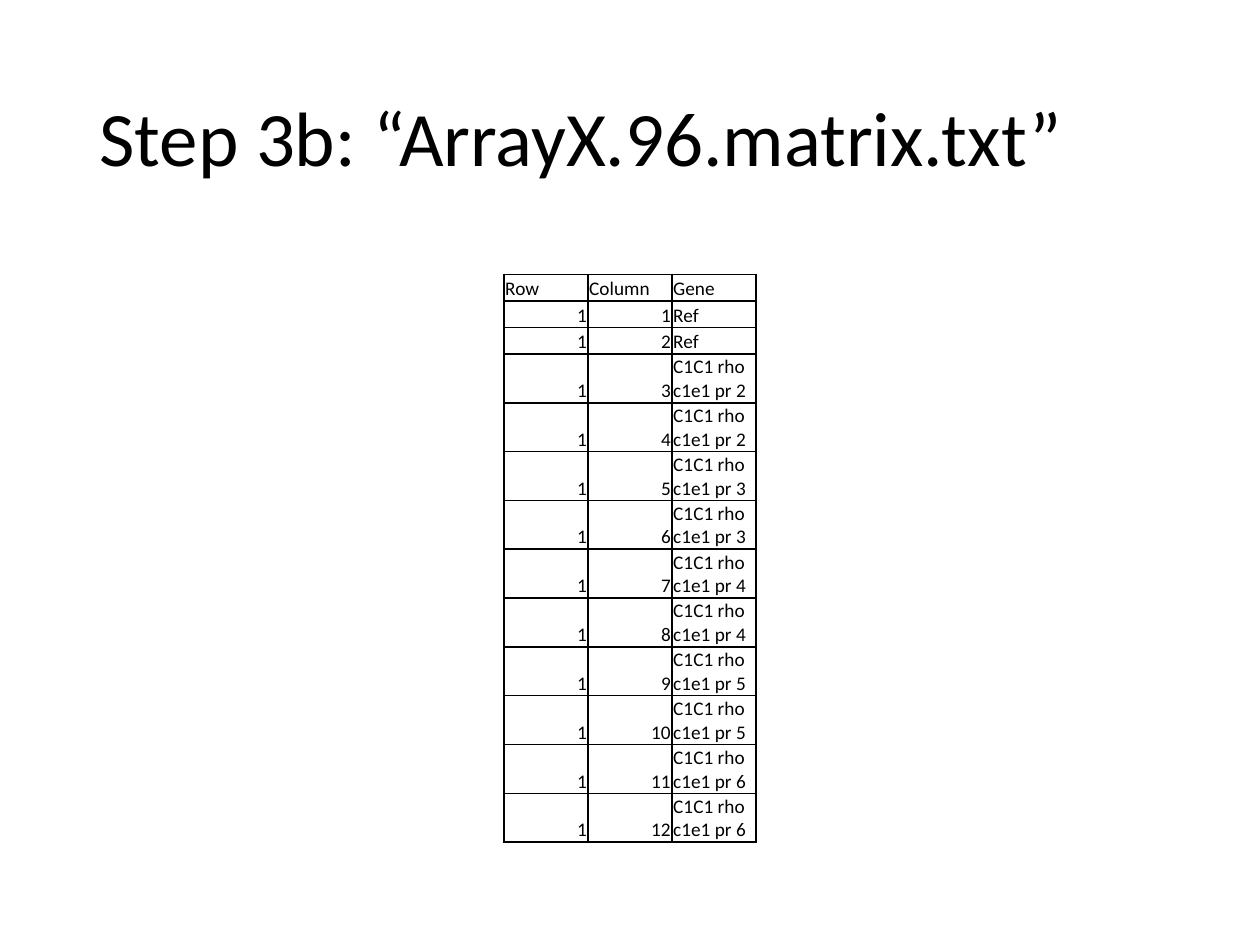
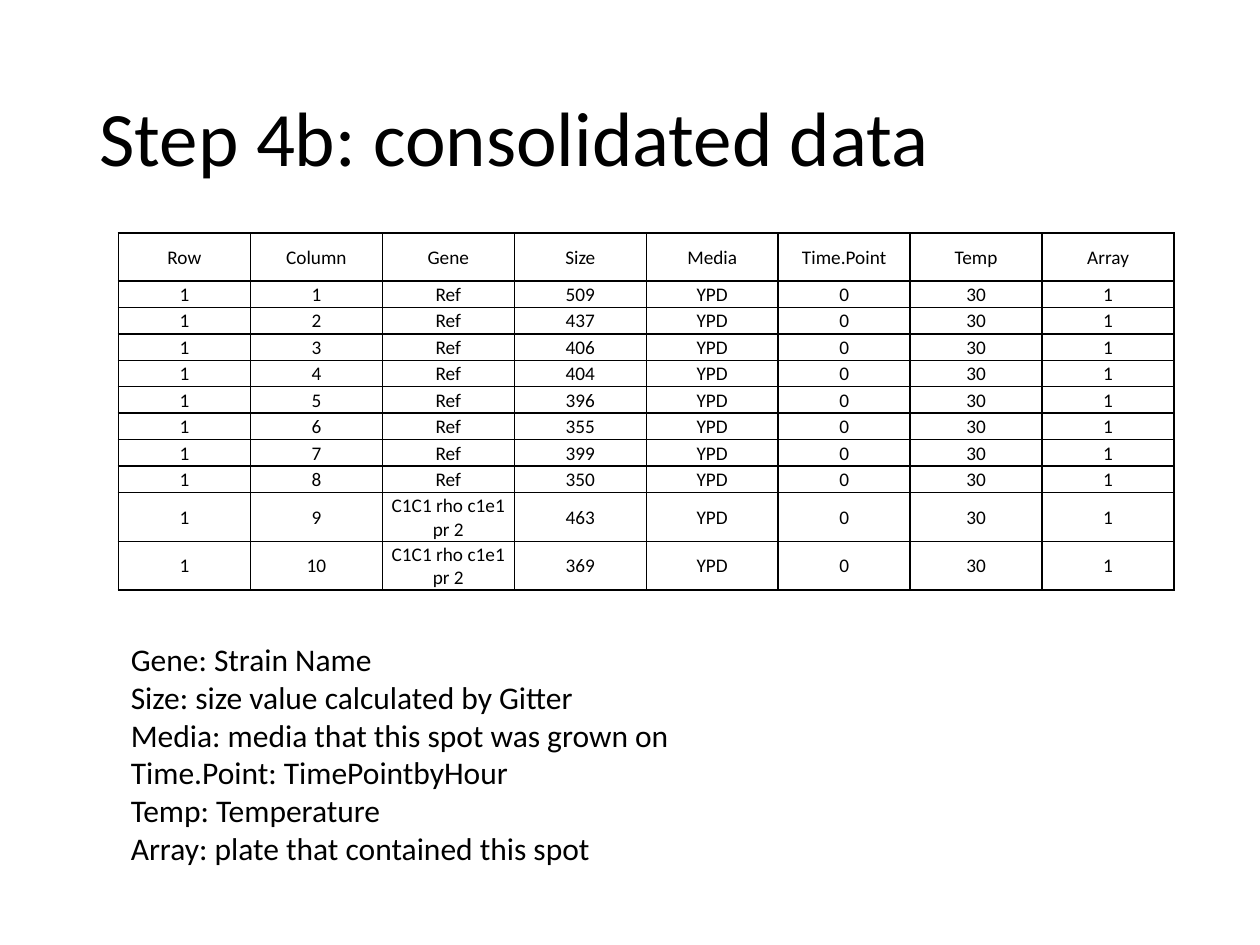
"""Build two slides that show a strain matrix and the consolidated data."""
import pptx
import pptx.dml.color
import pptx.enum.text
import pptx.oxml
import pptx.oxml.ns
import pptx.util

Inches, Pt = pptx.util.Inches, pptx.util.Pt
ALIGN, ANCHOR = pptx.enum.text.PP_ALIGN, pptx.enum.text.MSO_ANCHOR

WIDTH, HEIGHT = Inches(10), Inches(7.5)
COLORS = {"text": "000000", "border": "000000", "background": "FFFFFF"}
TITLE = {"name": "Calibri", "size": Pt(44), "bold": False}
CELL = {"name": "Calibri", "size": Pt(11), "bold": False}
BODY = {"name": "Calibri", "size": Pt(18), "bold": False}
CELL_MARGINS = {"margin_left": Inches(0.01), "margin_right": Inches(0.01),
                "margin_top": Inches(0.01), "margin_bottom": 0}
ROW, TALL_ROW = 0.21, 0.38
STRAIN = "C1C1 rho c1e1 pr {}"
SIZES = [509, 437, 406, 404, 396, 355, 399, 350, 463, 369]
LEGEND = ["Gene: Strain Name", "Size: size value calculated by Gitter",
          "Media: media that this spot was grown on", "Time.Point: TimePointbyHour",
          "Temp: Temperature", "Array: plate that contained this spot"]


def color(key):
    """Return the named palette colour."""
    return pptx.dml.color.RGBColor.from_string(COLORS[key])


def set_all(obj, values):
    """Set each attribute of obj from a dict."""
    for name, value in values.items():
        setattr(obj, name, value)


def write(p, text, font, align=ALIGN.LEFT):
    """Put one formatted run into a paragraph."""
    p.alignment = align
    r = p.add_run()
    r.text = text
    set_all(r.font, font)
    r.font.color.rgb = color("text")


def add_slide(prs, title):
    """Add a title-only slide with its title placed and formatted."""
    slide = prs.slides.add_slide(prs.slide_layouts[5])
    slide.background.fill.solid()
    slide.background.fill.fore_color.rgb = color("background")
    sp = slide.shapes.title
    set_all(sp, {"left": Inches(0.69), "top": Inches(0.4),
                 "width": Inches(8.62), "height": Inches(1.45)})
    tf = sp.text_frame
    set_all(tf, {"word_wrap": True, "vertical_anchor": ANCHOR.MIDDLE,
                 "auto_size": pptx.enum.text.MSO_AUTO_SIZE.NONE})
    p = tf.paragraphs[0]
    p.line_spacing = 0.9
    write(p, title, TITLE)
    return slide


def add_borders(cell):
    """Draw a one-point line on each side of a cell."""
    tc_pr = cell._tc.get_or_add_tcPr()
    for i, side in enumerate(("lnL", "lnR", "lnT", "lnB")):
        tc_pr.insert(i, pptx.oxml.parse_xml(
            f'<a:{side} {pptx.oxml.ns.nsdecls("a")} w="{Pt(1)}"><a:solidFill>'
            f'<a:srgbClr val="{COLORS["border"]}"/></a:solidFill></a:{side}>'))


def add_grid(slide, rows, left, top, width, heights, anchor, align):
    """Add a bordered table; align(row, value) gives each cell's alignment."""
    cols = len(rows[0])
    table = slide.shapes.add_table(len(rows), cols, left, top, width,
                                   Inches(sum(heights))).table
    set_all(table, {"first_row": False, "horz_banding": False})
    for col in table.columns:
        col.width = width // cols
    for i, (values, height) in enumerate(zip(rows, heights)):
        table.rows[i].height = Inches(height)
        for j, value in enumerate(values):
            cell = table.cell(i, j)
            set_all(cell, {**CELL_MARGINS, "vertical_anchor": anchor})
            cell.fill.background()
            add_borders(cell)
            write(cell.text_frame.paragraphs[0], str(value), CELL, align(i, value))


def add_lines(slide, lines, left, top, width, height):
    """Add a text box with one paragraph per line."""
    tf = slide.shapes.add_textbox(left, top, width, height).text_frame
    set_all(tf, {"word_wrap": True,
                 "auto_size": pptx.enum.text.MSO_AUTO_SIZE.SHAPE_TO_FIT_TEXT})
    for i, line in enumerate(lines):
        write(tf.add_paragraph() if i else tf.paragraphs[0], line, BODY)


def add_matrix_slide(prs):
    """Add the slide that maps plate positions to strains."""
    slide = add_slide(prs, "Step 3b: “ArrayX.96.matrix.txt”")
    rows = [["Row", "Column", "Gene"]]
    rows += [[1, n, "Ref" if n < 3 else STRAIN.format((n + 1) // 2)]
             for n in range(1, 13)]
    add_grid(slide, rows, Inches(4), Inches(2.18), Inches(2), [ROW] * len(rows),
             ANCHOR.BOTTOM,
             lambda i, value: ALIGN.RIGHT if isinstance(value, int) else ALIGN.LEFT)


def add_data_slide(prs):
    """Add the slide with the consolidated data and its legend."""
    slide = add_slide(prs, "Step 4b: consolidated data")
    rows = [["Row", "Column", "Gene", "Size", "Media", "Time.Point", "Temp", "Array"]]
    rows += [[1, n, "Ref" if n < 9 else STRAIN.format(2), size, "YPD", 0, 30, 1]
             for n, size in enumerate(SIZES, 1)]
    heights = [TALL_ROW] + [ROW] * 8 + [TALL_ROW] * 2
    left = Inches(0.94)
    add_grid(slide, rows, left, Inches(1.85), Inches(8.38), heights,
             ANCHOR.MIDDLE, lambda i, value: ALIGN.CENTER)
    add_lines(slide, LEGEND, left, Inches(5.03), Inches(8.24), Inches(1.92))


def main():
    """Build and save the presentation."""
    prs = pptx.Presentation()
    set_all(prs, {"slide_width": WIDTH, "slide_height": HEIGHT})
    add_matrix_slide(prs)
    add_data_slide(prs)
    prs.save("out.pptx")


if __name__ == "__main__":
    main()
